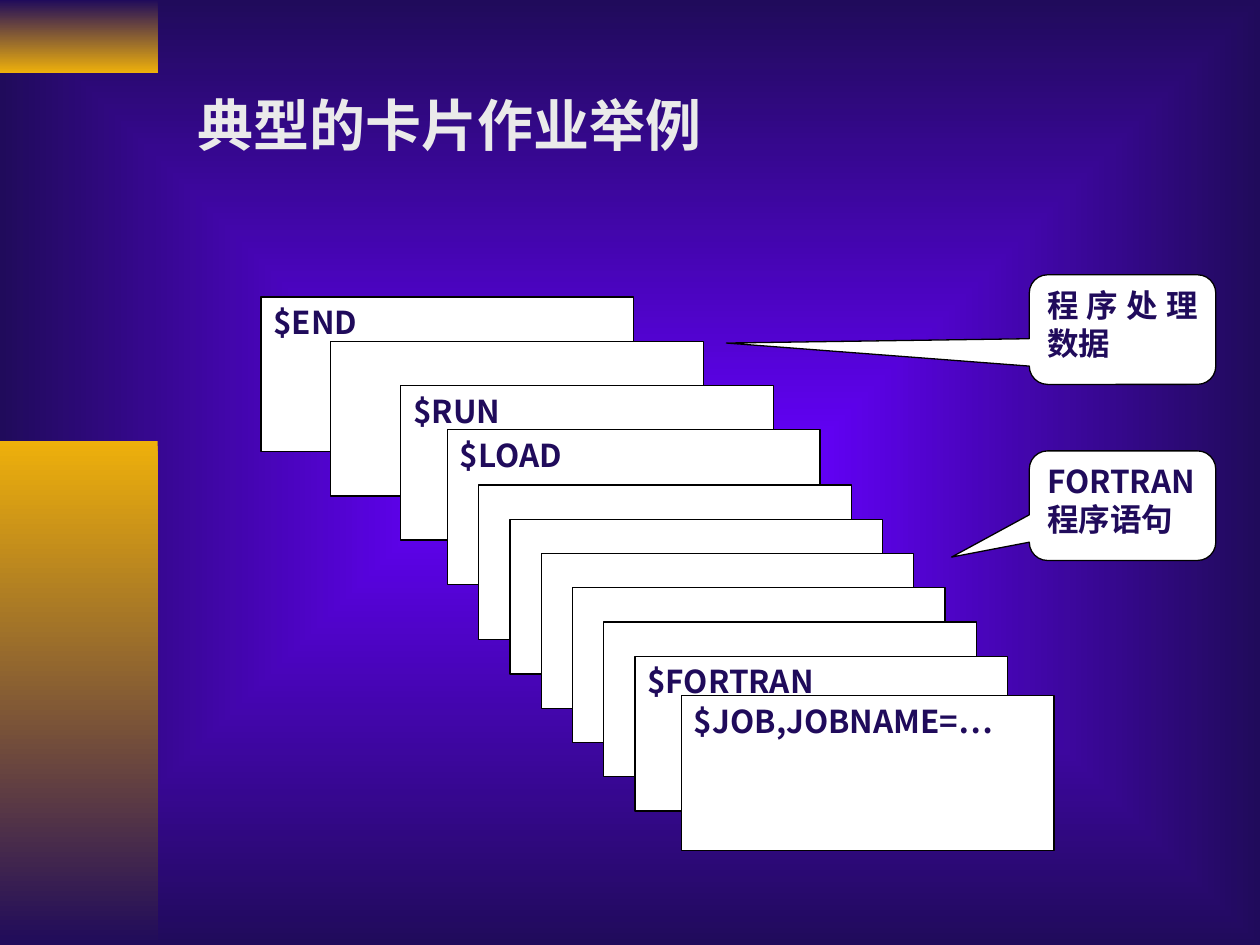
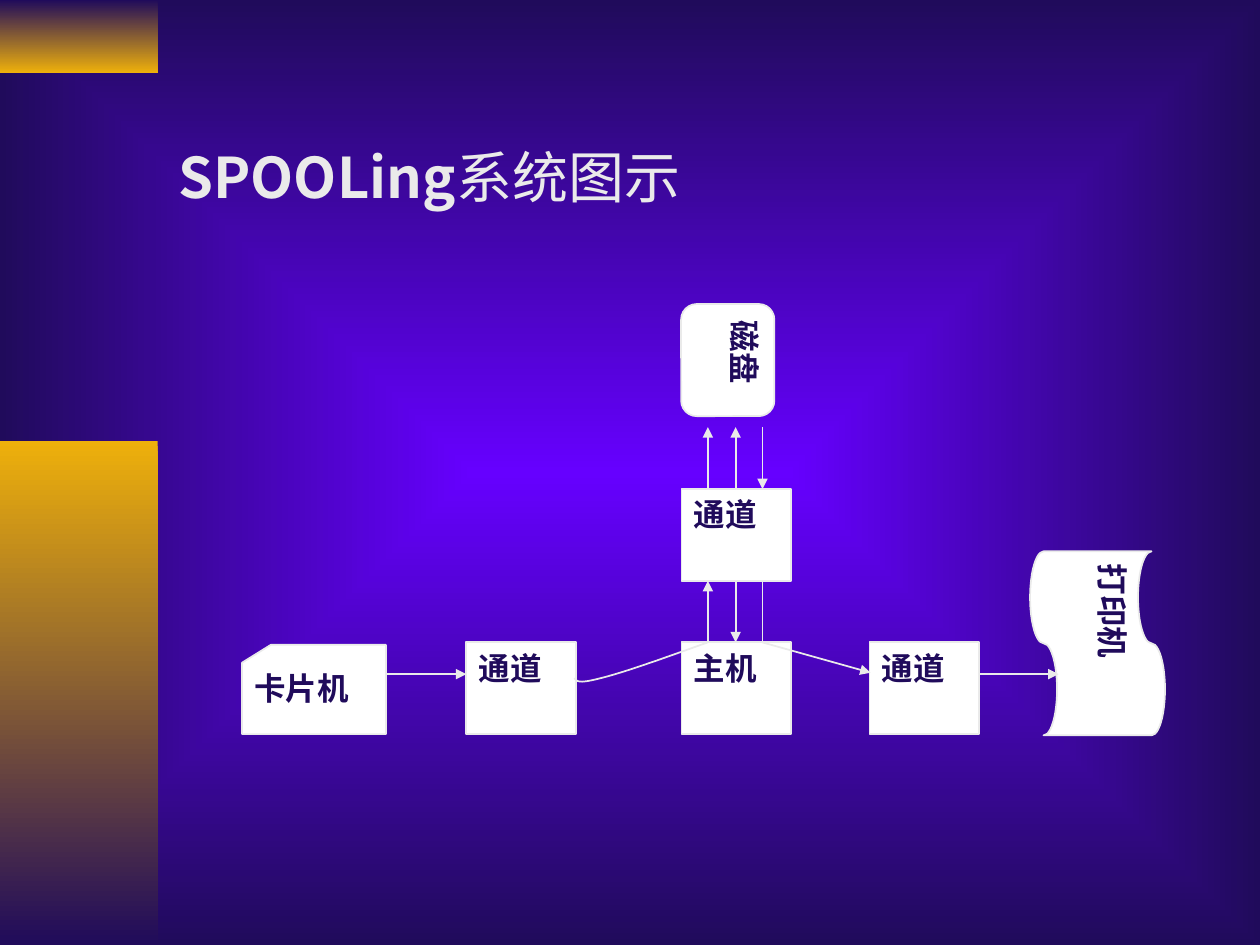
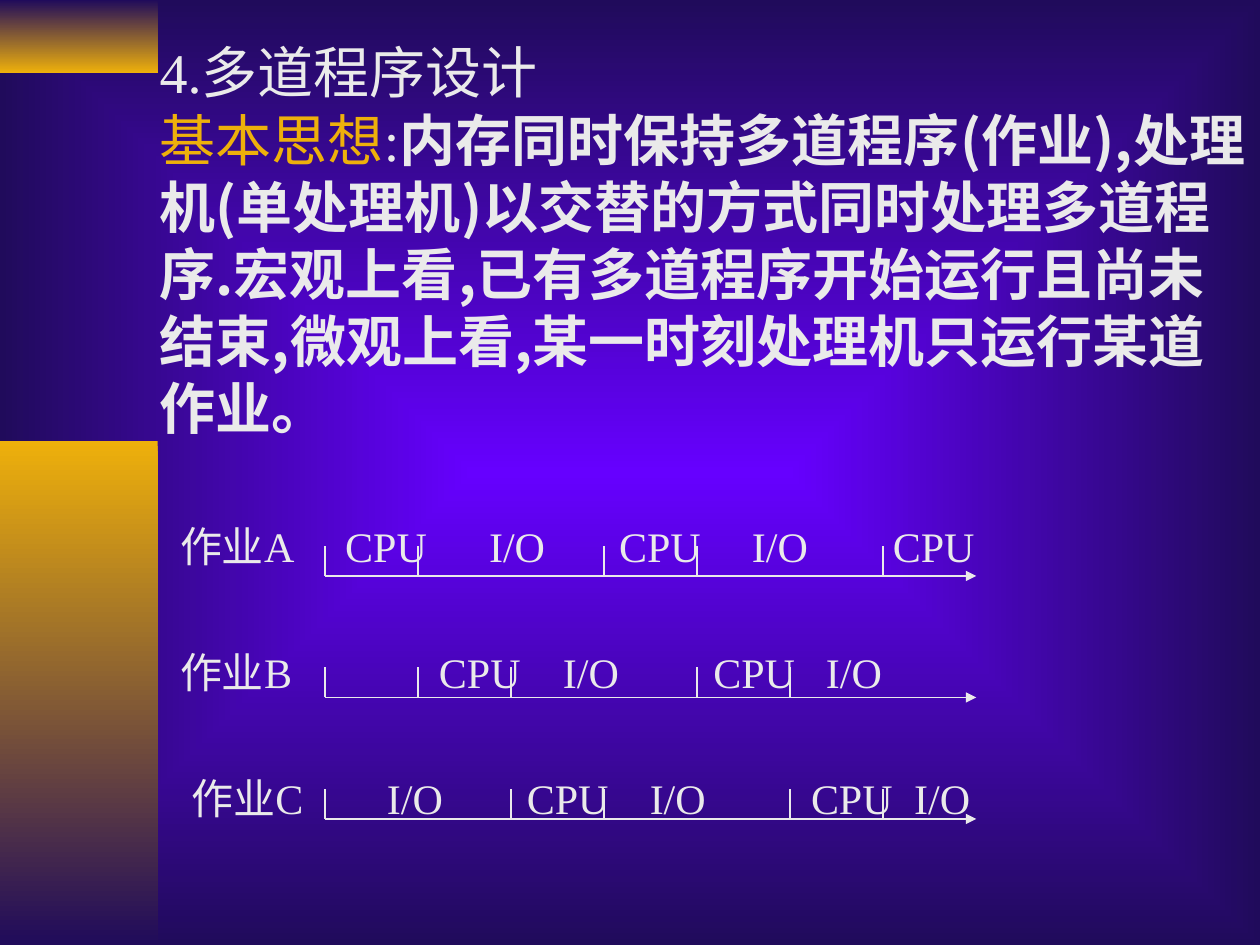
from dataclasses import dataclass
from itertools import accumulate

from lxml import etree
from pptx import Presentation
from pptx import util as u
from pptx.dml import color
from pptx.enum import shapes, text
from pptx.oxml import ns


@dataclass(frozen=True)
class Theme:
    glow: str = "6600FF"
    night: str = "200B5B"
    gold: str = "EEB00B"
    pale: str = "EAEAEA"
    paper: str = "FFFFFF"
    ink: str = "000000"
    serif: str = "Times New Roman"
    sans: str = "Noto Sans CJK SC"
    title: int = 32
    timeline: int = 24
    label: int = 18
    card_edge: float = 0.75
    flow_edge: float = 1


T = Theme()
KIND = shapes.MSO_SHAPE
SLIDE_SIZE = (25.4, 19.05)
BANDS = [((0, 0, 3.18, 1.47), T.night, T.gold), ((0, 8.89, 3.18, 10.16), T.gold, T.night)]

CARDS_TITLE = "典型的卡片作业举例"
FIRST_CARD = (5.26, 5.99)
CARD_SIZE = (7.51, 3.12)
CARDS = [
    ("$END", (1.41, 0.89)),
    ("", (1.41, 0.89)),
    ("$RUN", (0.94, 0.89)),
    ("$LOAD", (0.63, 1.12)),
    *[("", (0.63, 0.69))] * 5,
    ("$FORTRAN", (0.94, 0.79)),
    ("$JOB,JOBNAME=…", (0, 0)),
]
CALLOUTS = [
    ("程序处理数据", 5.54, (-2.124, 0.123, 0.167)),
    ("FORTRAN程序语句", 9.09, (-0.917, 0.469, 0.167)),
]

SPOOLING_TITLE = [("SPOOLing", {"font": T.sans, "bold": True}), ("系统图示", {})]
UNIT = (2.21, 1.85)
DISK_Y, CHANNEL_Y, HOST_Y, FLOW_Y = 8.61, 9.86, 12.95, 13.59
CHANNEL_END = CHANNEL_Y + UNIT[1]
LANES = (14.27, 14.83, 15.37)
DEVICES = [
    ("磁盘", KIND.FLOWCHART_ALTERNATE_PROCESS, (13.54, 6.32, 2.26, 1.88), 90),
    ("通道", KIND.RECTANGLE, (13.74, CHANNEL_Y, *UNIT), 0),
    ("主机", KIND.RECTANGLE, (13.74, HOST_Y, *UNIT), 0),
    ("通道", KIND.RECTANGLE, (9.4, HOST_Y, *UNIT), 0),
    ("通道", KIND.RECTANGLE, (17.53, HOST_Y, *UNIT), 0),
    ("卡片机", KIND.FLOWCHART_CARD, (4.88, 13, 2.9, 1.8), 0),
    ("打印机", KIND.FLOWCHART_PUNCHED_TAPE, (20.27, 11.61, 3.71, 2.72), 90),
]
FLOWS = [
    ((LANES[0], CHANNEL_Y), (LANES[0], DISK_Y), True),
    ((LANES[1], CHANNEL_Y), (LANES[1], DISK_Y), True),
    ((LANES[2], DISK_Y), (LANES[2], CHANNEL_Y), True),
    ((LANES[0], HOST_Y), (LANES[0], CHANNEL_END), True),
    ((LANES[1], CHANNEL_END), (LANES[1], HOST_Y), True),
    ((LANES[2], CHANNEL_END), (LANES[2], HOST_Y), False),
    ((LANES[2], HOST_Y), (17.55, 13.56), True),
    ((7.77, FLOW_Y), (9.4, FLOW_Y), True),
    ((19.71, FLOW_Y), (21.34, FLOW_Y), True),
]
INPUT_CURVES = [
    ((14.27, 12.95), (13.41, 13.26), (12.57, 13.56), (12.12, 13.67)),
    ((12.12, 13.67), (11.66, 13.79), (11.63, 13.74), (11.58, 13.67)),
]

IDEA = [
    [("4.多道程序设计", {})],
    [
        ("基本思想", {"ink": T.gold}),
        (":", {}),
        ("内存同时保持多道程序(作业),处理机(单处理机)以交替的方式同时处理多道程序."
         "宏观上看,已有多道程序开始运行且尚未结束,微观上看,某一时刻处理机只运行某道作业。",
         {"font": T.sans, "bold": True}),
    ],
]
AXIS_X, AXIS_Y, AXIS_LENGTH, AXIS_PITCH = 6.55, 11.61, 13.13, 2.45
TICK_STEP, TICK_HEIGHT = AXIS_LENGTH / 7, 0.61
JOBS_Y, JOBS_PITCH = 10.36, 2.54
JOBS = [
    ("作业A", 3.38, (0, 1, 3, 4, 6),
     [("CPU", 3.33), ("I/O", 6.23), ("CPU", 8.85), ("I/O", 11.53), ("CPU", 14.37)]),
    ("作业B", 3.38, (0, 1, 2, 4, 5),
     [("CPU", 5.22), ("I/O", 7.72), ("CPU", 10.75), ("I/O", 13.02)]),
    ("作业C", 3.61, (0, 2, 3, 5, 6),
     [("I/O", 3.94), ("CPU", 6.76), ("I/O", 9.24), ("CPU", 12.49), ("I/O", 14.57)]),
]


def cm(values):
    return [u.Cm(value) for value in values]


def rgb(code):
    return color.RGBColor.from_string(code)


def add_xml(parent, tag, **attributes):
    return etree.SubElement(parent, ns.qn(tag), attributes)


def write(shape, paragraphs, font=T.serif, size=T.title, ink=T.pale, bold=False,
          align=text.PP_ALIGN.LEFT, wrap=True, tabs=()):
    if isinstance(paragraphs, str):
        paragraphs = [[(paragraphs, {})]]
    frame = shape.text_frame
    frame.word_wrap = wrap
    frame.vertical_anchor = text.MSO_ANCHOR.TOP
    for index, runs in enumerate(paragraphs):
        paragraph = frame.add_paragraph() if index else frame.paragraphs[0]
        paragraph.alignment = align
        if tabs:
            stops = add_xml(paragraph._p.get_or_add_pPr(), "a:tabLst")
            for tab in tabs:
                add_xml(stops, "a:tab", pos=str(u.Cm(tab)), algn="l")
        for words, changes in runs:
            look = {"font": font, "ink": ink, "bold": bold, **changes}
            run = paragraph.add_run()
            run.text = words
            run.font.size = u.Pt(size)
            run.font.bold = look["bold"]
            run.font.color.rgb = rgb(look["ink"])
            run.font.name = look["font"]
            add_xml(run._r.get_or_add_rPr(), "a:ea", typeface=T.sans)


def add_text(slide, box, paragraphs, **form):
    write(slide.shapes.add_textbox(*cm(box)), paragraphs, **form)


def add_panel(slide, kind, box, words, edge, width, font):
    panel = slide.shapes.add_shape(kind, *cm(box))
    panel.shadow.inherit = False
    panel.fill.solid()
    panel.fill.fore_color.rgb = rgb(T.paper)
    panel.line.color.rgb = rgb(edge)
    panel.line.width = u.Pt(width)
    if words:
        write(panel, words, font=font, size=T.label, ink=T.night, bold=True,
              align=text.PP_ALIGN.JUSTIFY)
    return panel


def style_line(line):
    line.color.rgb = rgb(T.pale)
    line.width = u.Pt(T.flow_edge)


def add_line(slide, start, end, arrow=False):
    link = slide.shapes.add_connector(shapes.MSO_CONNECTOR.STRAIGHT, *cm(start + end))
    style_line(link.line)
    if arrow:
        add_xml(link.line._get_or_add_ln(), "a:tailEnd", type="triangle")
    add_xml(link._element.spPr, "a:effectLst")


def blend(fill, first, last):
    fill.gradient()
    for stop, code in zip(fill.gradient_stops, (first, last)):
        stop.color.rgb = rgb(code)


def dress_master(master, slide):
    blend(master.background.fill, T.glow, T.night)
    linear = master.element.find(".//" + ns.qn("a:lin"))
    gradient = linear.getparent()
    gradient.remove(linear)
    add_xml(add_xml(gradient, "a:path", path="rect"), "a:fillToRect",
            l="50000", t="50000", r="50000", b="50000")
    tree = master.shapes.element
    for index, (box, first, last) in enumerate(BANDS):
        band = slide.shapes.add_shape(KIND.RECTANGLE, *cm(box))
        band.shadow.inherit = False
        blend(band.fill, first, last)
        band.fill.gradient_angle = 270
        band.line.fill.background()
        band._element.nvSpPr.cNvPr.set("id", str(100 + index))
        tree.insert(2 + index, band._element)


def curve_point(anchors, t):
    weights = ((1 - t) ** 3, 3 * t * (1 - t) ** 2, 3 * t ** 2 * (1 - t), t ** 3)
    return tuple(u.Cm(sum(w * a[axis] for w, a in zip(weights, anchors))) for axis in (0, 1))


def draw_cards(slide):
    corners = accumulate((step for _, step in CARDS[:-1]),
                         lambda at, step: (at[0] + step[0], at[1] + step[1]),
                         initial=FIRST_CARD)
    for (words, _), corner in zip(CARDS, corners):
        add_panel(slide, KIND.RECTANGLE, (*corner, *CARD_SIZE), words,
                  T.ink, T.card_edge, T.sans)
    for words, top, pointer in CALLOUTS:
        callout = add_panel(slide, KIND.ROUNDED_RECTANGULAR_CALLOUT, (20.75, top, 3.76, 2.21),
                            words, T.ink, T.card_edge, T.sans)
        for index, value in enumerate(pointer):
            callout.adjustments[index] = value
    add_text(slide, (3.73, 1.7, 10.87, 1.63), CARDS_TITLE, bold=True, wrap=False)


def draw_spooling(slide):
    for words, kind, box, turn in DEVICES:
        device = add_panel(slide, kind, box, words, T.pale, T.flow_edge, T.serif)
        device.rotation = turn
    for start, end, arrow in FLOWS:
        add_line(slide, start, end, arrow)
    points = [curve_point(anchors, step / 12) for anchors in INPUT_CURVES for step in range(13)]
    builder = slide.shapes.build_freeform(*points[0])
    builder.add_line_segments(points[1:], close=False)
    feed = builder.convert_to_shape()
    feed.shadow.inherit = False
    feed.fill.background()
    style_line(feed.line)
    add_text(slide, (3.35, 2.74, 10.9, 1.63), [SPOOLING_TITLE], wrap=False)


def draw_jobs(slide):
    add_text(slide, (2.97, 0.64, 22.43, 8.38), IDEA)
    for row, (job, left, ticks, phases) in enumerate(JOBS):
        y = AXIS_Y + row * AXIS_PITCH
        add_line(slide, (AXIS_X, y), (AXIS_X + AXIS_LENGTH, y), arrow=True)
        for tick in ticks:
            x = AXIS_X + tick * TICK_STEP
            add_line(slide, (x, y), (x, y - TICK_HEIGHT))
        names, stops = zip(*phases)
        add_text(slide, (left, JOBS_Y + row * JOBS_PITCH, SLIDE_SIZE[0] - left, 1.27),
                 "\t".join((job, *names)), size=T.timeline, tabs=stops)


def main():
    deck = Presentation()
    deck.slide_width, deck.slide_height = cm(SLIDE_SIZE)
    blank = deck.slide_layouts[6]
    for index, draw in enumerate((draw_cards, draw_spooling, draw_jobs)):
        slide = deck.slides.add_slide(blank)
        if index == 0:
            dress_master(deck.slide_master, slide)
        draw(slide)
    deck.save("out.pptx")


if __name__ == "__main__":
    main()
